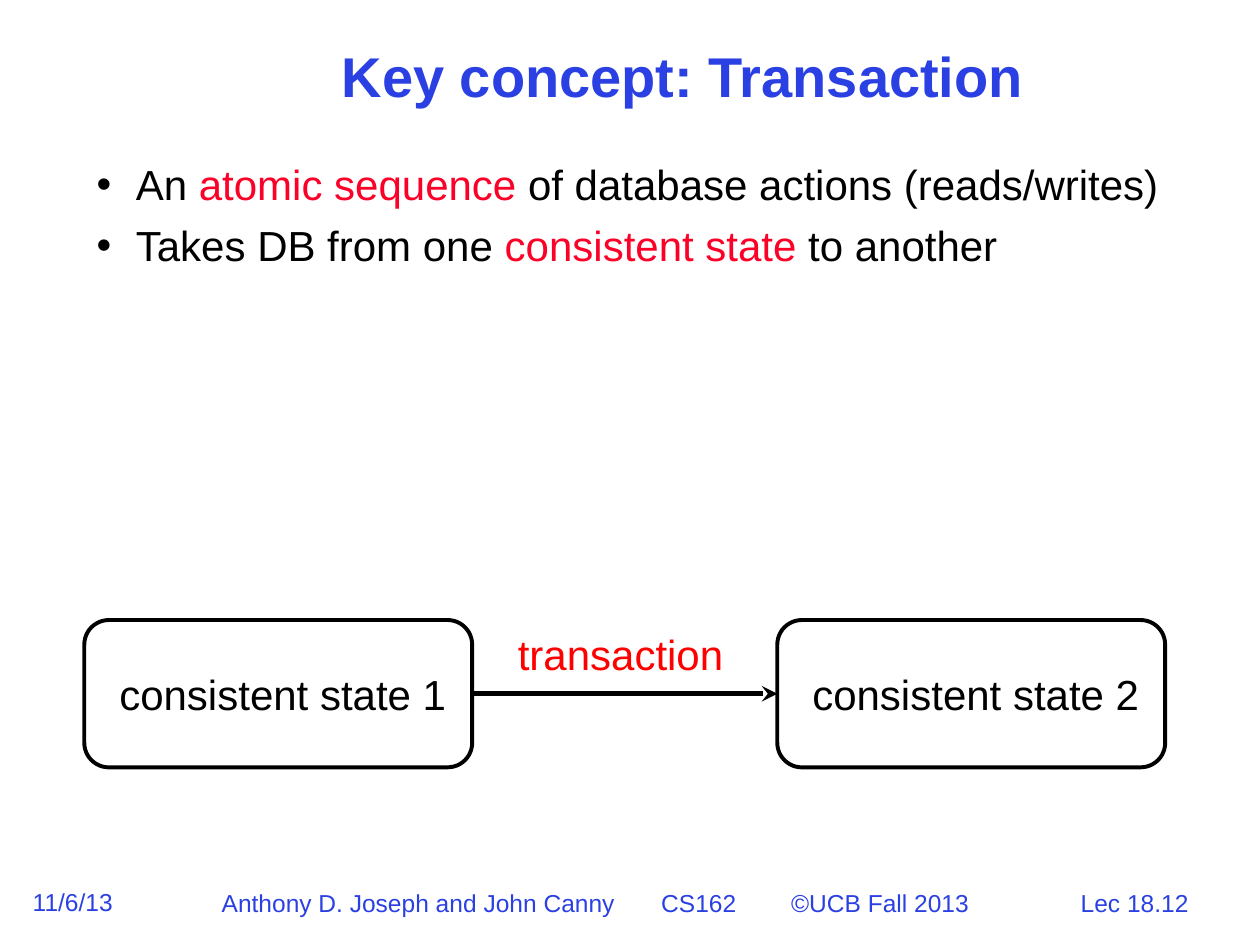
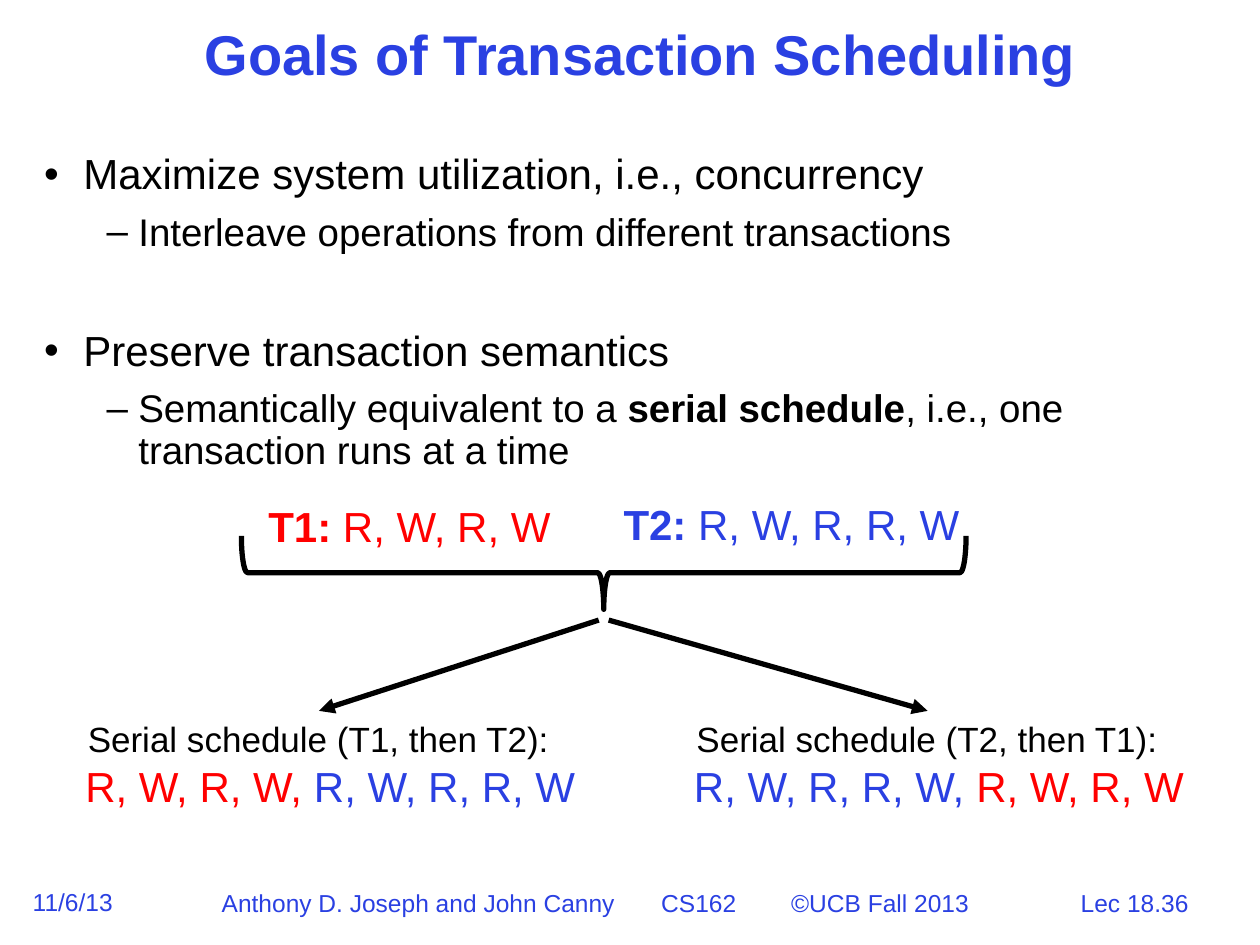
from pptx import Presentation
from pptx.dml.color import RGBColor
from pptx.enum.shapes import MSO_CONNECTOR as Link, MSO_SHAPE as Preset
from pptx.enum.text import MSO_ANCHOR as Anchor, MSO_AUTO_SIZE as Fit, PP_ALIGN as Align
from pptx.oxml.ns import qn
from pptx.util import Cm, Pt
from lxml.etree import SubElement

COLORS = {"blue": "2A40E2", "red": "FF0000", "crimson": "FC0128", "black": "000000"}
FONT = "Arial"
TITLE_ONLY = 5
FOOTER_PARTS = ("Anthony D. Joseph and John Canny", "CS162", "©UCB Fall 2013")
FOOTER_TABS = (8.86, 11.48)

# Per outline level: bullet, left margin, hanging indent, text size, space before
LEVELS = (("•", 0.79, 0.79, 24, 9), ("–", 1.9, 0.64, 22, 8.2))

T1_STEPS = ("R, W, R, W", "red")
T2_STEPS = ("R, W, R, R, W", "blue")


def rgb(color):
    return RGBColor.from_string(COLORS[color])


def add_runs(paragraph, runs, size):
    """Each run is (text, color) or (text, color, bold)."""
    for text, color, *bold in runs:
        run = paragraph.add_run()
        run.text = text
        font = run.font
        font.name, font.size, font.bold = FONT, Pt(size), bool(bold and bold[0])
        font.color.rgb = rgb(color)


def add_text(slide, box, runs, size=24, align=Align.LEFT, wrap=False):
    frame = slide.shapes.add_textbox(*map(Cm, box)).text_frame
    frame.word_wrap = wrap
    frame.auto_size = Fit.SHAPE_TO_FIT_TEXT
    paragraph = frame.paragraphs[0]
    paragraph.alignment = align
    add_runs(paragraph, runs, size)
    return paragraph


def add_bullets(slide, box, items):
    """Each item is (level, runs) or (level, runs, space before)."""
    frame = slide.shapes.add_textbox(*map(Cm, box)).text_frame
    frame.word_wrap = True
    for index, (level, runs, *gap) in enumerate(items):
        mark, margin, hanging, size, space = LEVELS[level]
        paragraph = frame.add_paragraph() if index else frame.paragraphs[0]
        paragraph.level = level
        paragraph.line_spacing = 0.9
        paragraph.space_before = Pt(gap[0] if gap else space)
        props = paragraph._p.get_or_add_pPr()
        props.set("marL", str(Cm(margin)))
        props.set("indent", str(-Cm(hanging)))
        SubElement(props, qn("a:buFont"), typeface=FONT)
        SubElement(props, qn("a:buChar"), char=mark)
        add_runs(paragraph, runs, size)


def add_footer(slide, lecture_page):
    add_text(slide, (20.68, 17.78, 4.39, 0.84), [(lecture_page, "blue")], 14, Align.CENTER)
    add_text(slide, (0.41, 17.75, 2.16, 0.84), [("11/6/13", "blue")], 14)
    credits = add_text(slide, (4.22, 17.78, 15.6, 0.84),
                       [("\t".join(FOOTER_PARTS), "blue")], 14)
    tab_list = SubElement(credits._p.get_or_add_pPr(), qn("a:tabLst"))
    for position in FOOTER_TABS:
        SubElement(tab_list, qn("a:tab"), pos=str(Cm(position)), algn="l")


def start_slide(deck, title_text, title_box, lecture_page):
    slide = deck.slides.add_slide(deck.slide_layouts[TITLE_ONLY])
    title = slide.shapes.title
    title.left, title.top, title.width, title.height = map(Cm, title_box)
    frame = title.text_frame
    frame.auto_size = Fit.NONE
    frame.word_wrap = True
    frame.vertical_anchor = Anchor.MIDDLE
    heading = frame.paragraphs[0]
    heading.alignment = Align.CENTER
    heading.line_spacing = 0.9
    add_runs(heading, [(title_text, "blue", True)], 32)
    add_footer(slide, lecture_page)
    return slide


def add_outline(slide, preset, box, width):
    outline = slide.shapes.add_shape(preset, *map(Cm, box))
    outline.shadow.inherit = False
    outline.fill.background()
    outline.line.color.rgb = rgb("black")
    outline.line.width = Pt(width)
    return outline


def add_state(slide, left, label):
    state = add_outline(slide, Preset.ROUNDED_RECTANGLE, (left, 12.5, 7.82, 2.97), 2.25)
    frame = state.text_frame
    frame.word_wrap = False
    frame.margin_left = Cm(0.43)
    frame.vertical_anchor = Anchor.MIDDLE
    frame.paragraphs[0].alignment = Align.CENTER
    add_runs(frame.paragraphs[0], [(label, "black")], 24)
    return state


def add_arrow(slide, start, end, head):
    arrow = slide.shapes.add_connector(Link.STRAIGHT, *map(Cm, start + end))
    arrow.line.color.rgb = rgb("black")
    arrow.line.width = Pt(3)
    SubElement(arrow.line._get_or_add_ln(), qn("a:tailEnd"), type=head)
    SubElement(arrow._element.spPr, qn("a:effectLst"))
    return arrow


def add_schedule(slide, shift, order, first, second, arrow_start):
    """One serial order: its steps, its caption and the arrow leading to it."""
    steps, color = first
    add_text(slide, (1.47 + shift, 15.21, 10.59, 1.27),
             [(steps + ", ", color), second], wrap=True)
    add_text(slide, (1.52 + shift, 14.33, 9.8, 1.12),
             [(f"Serial schedule ({order}):", "black")], 20)
    add_arrow(slide, (arrow_start, 12.5), (6.43 + shift, 14.33), "triangle")


def build_concept(deck):
    slide = start_slide(deck, "Key concept: Transaction", (2.97, 0, 21.59, 3.18), "Lec 18.12")
    add_bullets(slide, (1.7, 3.18, 22.02, 5.72), [
        (0, [("An ", "black"), ("atomic sequence", "crimson"),
             (" of database actions (reads/writes)", "black")]),
        (0, [("Takes DB from one ", "black"), ("consistent state", "crimson"),
             (" to another", "black")]),
    ])
    before = add_state(slide, 1.7, "consistent state 1")
    after = add_state(slide, 15.67, "consistent state 2")
    transition = add_arrow(slide, (9.52, 13.98), (15.67, 13.98), "stealth")
    transition.begin_connect(before, 3)
    transition.end_connect(after, 1)
    add_text(slide, (10.19, 12.55, 4.65, 1.27), [("transaction", "red")])


def build_goals(deck):
    slide = start_slide(deck, "Goals of Transaction Scheduling",
                        (1.27, 0.43, 23.29, 1.47), "Lec 18.36")
    add_bullets(slide, (0.64, 2.97, 23.93, 6.78), [
        (0, [("Maximize system utilization, i.e., concurrency", "black")]),
        (1, [("Interleave operations from different transactions", "black")]),
        (0, [("Preserve transaction semantics", "black")], 43),
        (1, [("Semantically equivalent to a ", "black"), ("serial schedule", "black", True),
             (", i.e., one transaction runs at a time", "black")]),
    ])
    add_text(slide, (5.16, 9.96, 6.25, 1.27), [("T1: ", "red", True), T1_STEPS])
    add_text(slide, (12.32, 9.93, 7.32, 1.27), [("T2: ", "blue", True), T2_STEPS])
    brace = add_outline(slide, Preset.RIGHT_BRACE, (11.43, 4.24, 1.48, 14.61), 3)
    brace.rotation = 90
    add_schedule(slide, 0, "T1, then T2", T1_STEPS, T2_STEPS, 12.07)
    add_schedule(slide, 12.27, "T2, then T1", T2_STEPS, T1_STEPS, 12.27)


def main():
    deck = Presentation()
    deck.slide_width, deck.slide_height = Cm(25.4), Cm(19.05)
    build_concept(deck)
    build_goals(deck)
    deck.save("out.pptx")


if __name__ == "__main__":
    main()
